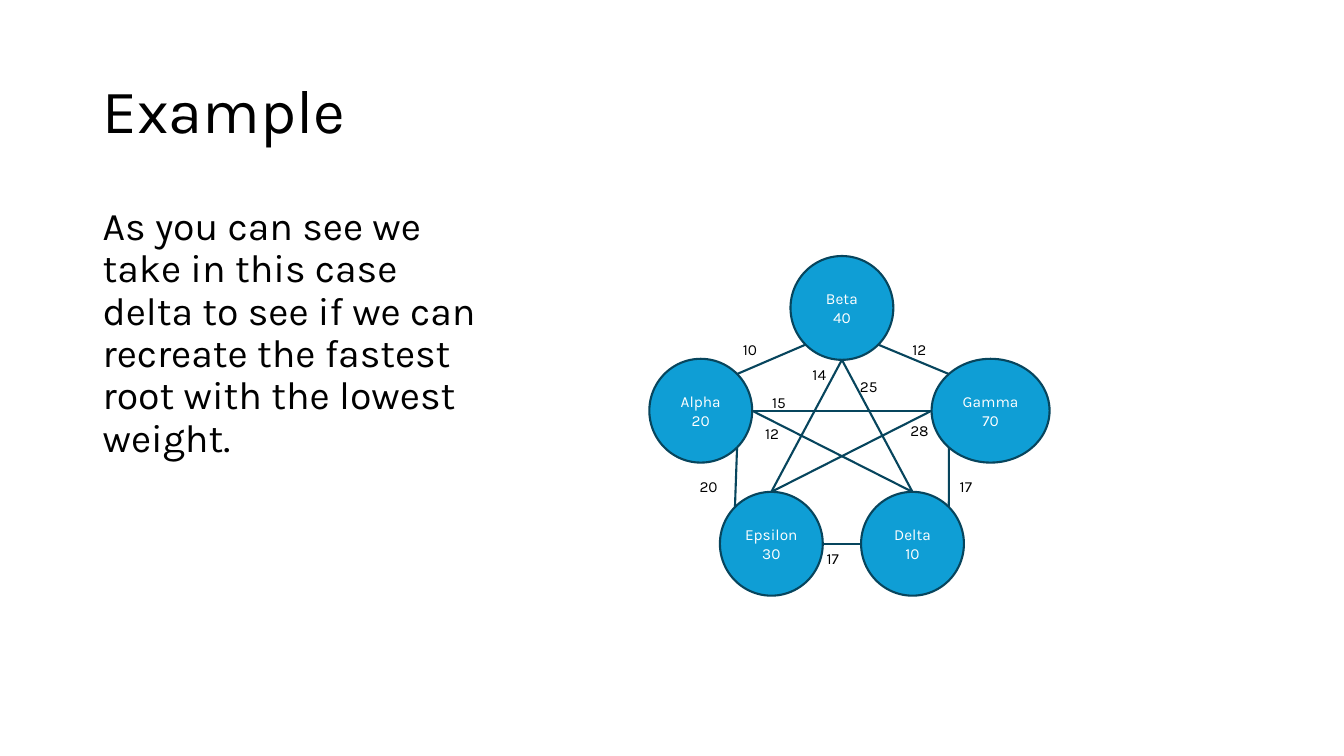
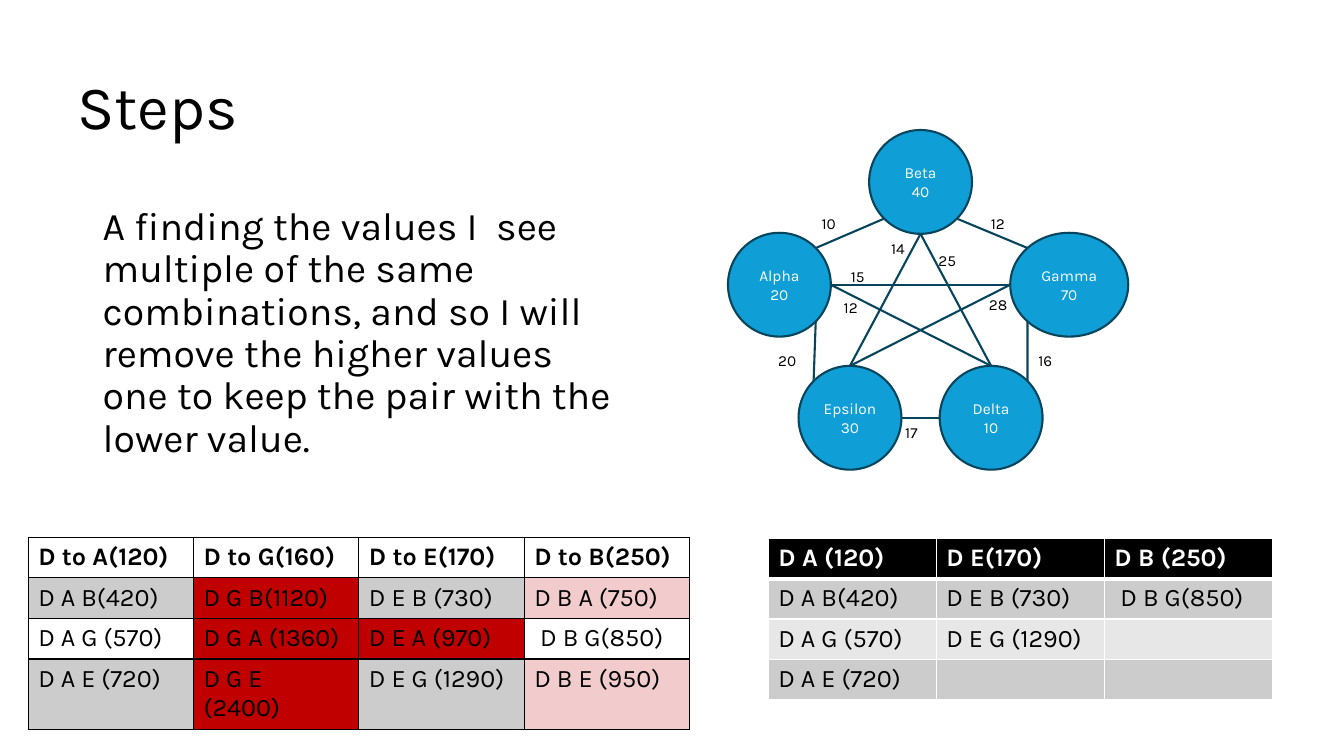
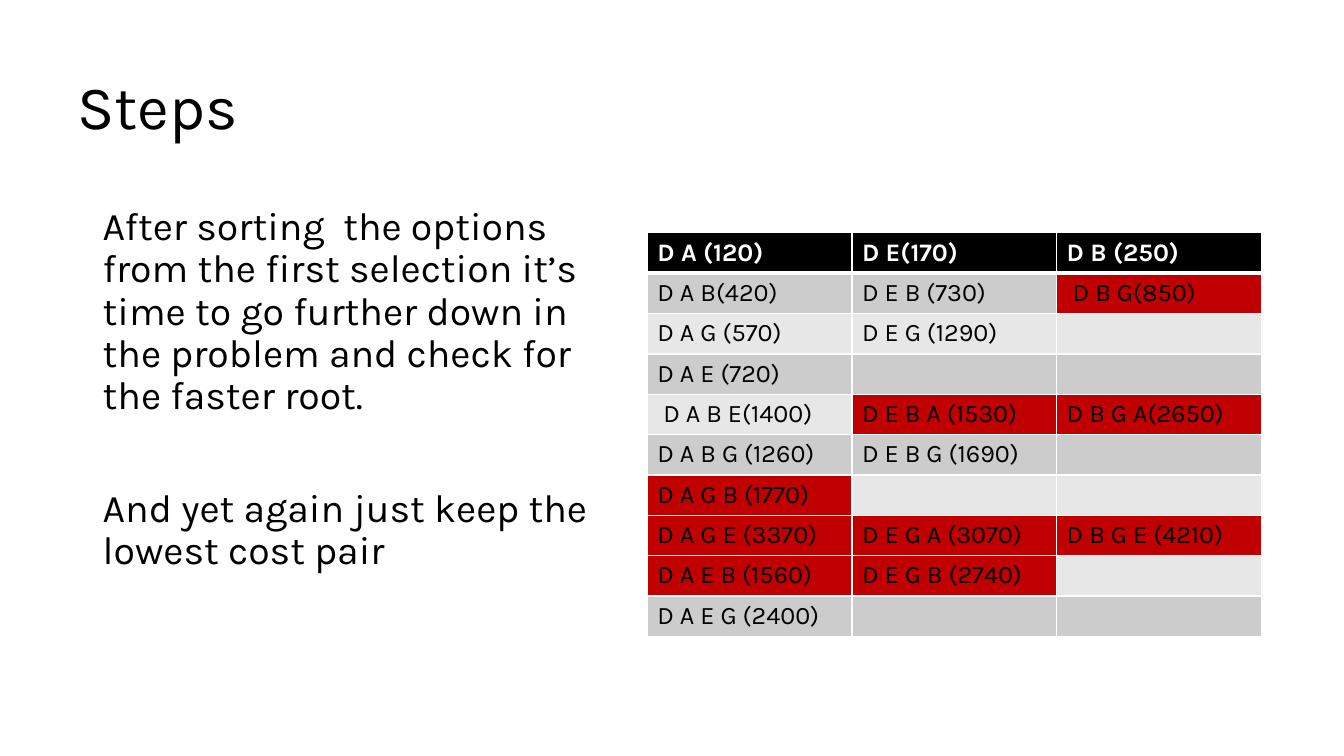
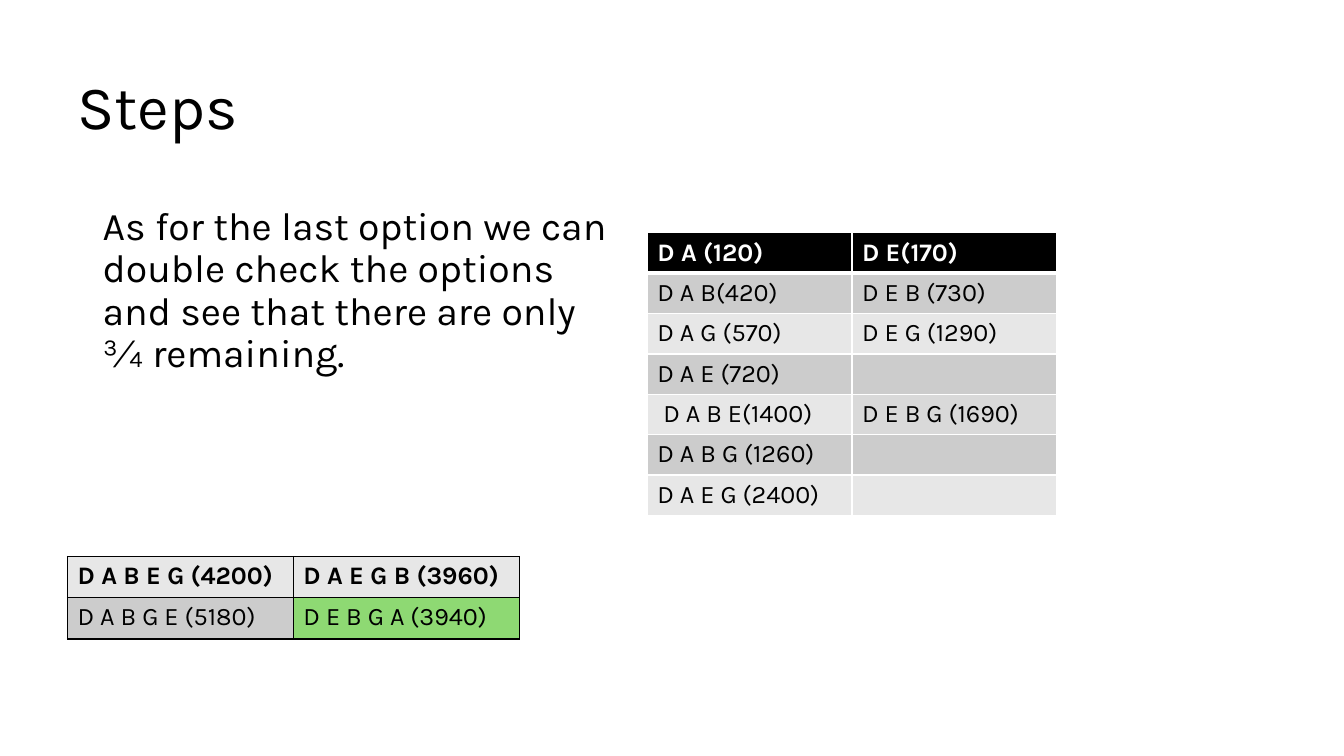
from math import cos, radians, sin

from lxml import etree
from pptx import Presentation
from pptx.dml.color import RGBColor
from pptx.enum.shapes import MSO_CONNECTOR, MSO_SHAPE
from pptx.enum.text import MSO_ANCHOR, PP_ALIGN
from pptx.oxml.ns import qn
from pptx.util import Inches, Pt

FONT = "Karla"
COLORS = {
    "ink": "000000", "white": "FFFFFF", "node": "0F9ED5", "edge": "07455D",
    "dark": "CCCCCC", "light": "E7E7E7", "gray": "D9D9D9",
    "red": "C00000", "pink": "F2CCCC", "green": "8ED973",
}
BODY = (0.92, 2, 5.28, 4.93)
STEPS = (0.67, 0.36, 4.48, 1.45)

# name: left, top, width, value
NODES = {
    "Epsilon": (0.7, 2.34, 1.02, 30),
    "Alpha": (0, 1.02, 1.02, 20),
    "Beta": (1.4, 0, 1.02, 40),
    "Delta": (2.1, 2.34, 1.02, 10),
    "Gamma": (2.8, 1.02, 1.17, 70),
}
NODE_H = 1.03
# start, its angle, end, its angle, weight, label left, label top
EDGES = [
    ("Beta", 135, "Alpha", -45, 10, 0.83, 0.78),
    ("Beta", 45, "Gamma", -135, 12, 2.51, 0.78),
    ("Gamma", 135, "Delta", -45, 17, 2.98, 2.14),
    ("Epsilon", 0, "Delta", 180, 17, 1.66, 2.86),
    ("Alpha", 45, "Epsilon", -135, 20, 0.4, 2.14),
    ("Beta", 90, "Epsilon", -90, 14, 1.52, 1.03),
    ("Alpha", 0, "Delta", -90, 12, 1.05, 1.62),
    ("Beta", 90, "Delta", -90, 25, 1.99, 1.15),
    ("Gamma", 180, "Epsilon", -90, 28, 2.49, 1.59),
    ("Alpha", 0, "Gamma", 180, 15, 1.12, 1.31),
]


def color(name):
    return RGBColor.from_string(COLORS[name])


def style(para, size, ink="ink", bold=False):
    font = para.font
    font.name, font.size, font.bold = FONT, Pt(size), bold
    font.color.rgb = color(ink)


def add_text(slide, box, lines, size):
    shape = slide.shapes.add_textbox(*map(Inches, box))
    frame = shape.text_frame
    frame.word_wrap = True
    frame.text = "\n".join(lines)
    for para in frame.paragraphs:
        style(para, size)
    return frame


def add_title(slide, box, text):
    frame = add_text(slide, box, [text], 44)
    frame.vertical_anchor = MSO_ANCHOR.MIDDLE
    frame.paragraphs[0].line_spacing = 0.9


def add_body(slide, box, *lines):
    frame = add_text(slide, box, lines, 28)
    for i, para in enumerate(frame.paragraphs):
        para.line_spacing = 0.9
        para.space_before = Pt(50 if i else 10)


def add_node(slide, left, top, name):
    dx, dy, width, value = NODES[name]
    shape = slide.shapes.add_shape(
        MSO_SHAPE.OVAL, Inches(left + dx), Inches(top + dy),
        Inches(width), Inches(NODE_H))
    shape.shadow.inherit = False
    shape.fill.solid()
    shape.fill.fore_color.rgb = color("node")
    shape.line.color.rgb = color("edge")
    shape.line.width = Pt(1.5)
    frame = shape.text_frame
    frame.vertical_anchor = MSO_ANCHOR.MIDDLE
    frame.text = f"{name}\n{value}"
    for para in frame.paragraphs:
        para.alignment = PP_ALIGN.CENTER
        style(para, 11, "white")


def rim(left, top, name, angle):
    """Point on a node's outline; angles run clockwise from the right."""
    dx, dy, width, _ = NODES[name]
    turn = radians(angle)
    return (Inches(left + dx + width / 2 * (1 + cos(turn))),
            Inches(top + dy + NODE_H / 2 * (1 + sin(turn))))


def add_edge(slide, start, end):
    line = slide.shapes.add_connector(MSO_CONNECTOR.STRAIGHT, *start, *end)
    line.line.color.rgb = color("edge")
    line.line.width = Pt(1.5)
    etree.SubElement(line._element.spPr, qn("a:effectLst"))


def add_graph(slide, left, top, changed=None):
    """Draw the network; changed maps (start, end) to another weight."""
    for name in NODES:
        add_node(slide, left, top, name)
    for start, out, end, into, *_ in EDGES:
        add_edge(slide, rim(left, top, start, out), rim(left, top, end, into))
    for start, _, end, _, weight, dx, dy in EDGES:
        weight = (changed or {}).get((start, end), weight)
        add_text(slide, (left + dx, top + dy, 0.44, 0.29), [str(weight)], 11)


def set_border(cell, side, name, width):
    props = cell._tc.get_or_add_tcPr()
    line = etree.SubElement(props, qn(f"a:ln{side}"), w=str(Pt(width)))
    fill = etree.SubElement(line, qn("a:solidFill"))
    etree.SubElement(fill, qn("a:srgbClr"), val=COLORS[name])


def add_grid(slide, box, rows, head="ink", line="white", even="light",
             marks=None):
    """Banded table; marks maps a fill to the (row, column) cells it takes."""
    left, top, width, height = box
    count = len(rows[0])
    table = slide.shapes.add_table(
        len(rows), count, *map(Inches, box)).table
    for col in table.columns:
        col.width = Inches(width / count)
    for row in table.rows:
        row.height = Inches(height / len(rows))
    special = {spot: name for name, spots in (marks or {}).items()
               for spot in spots}
    thick = 3 if line == "white" else 1
    for r, row in enumerate(rows):
        band = head if r == 0 else "dark" if r % 2 else even
        for c, text in enumerate(row):
            cell = table.cell(r, c)
            for side in "LRTB":
                under = (r, side) in ((0, "B"), (1, "T"))
                set_border(cell, side, line, thick if under else 1)
            cell.fill.solid()
            cell.fill.fore_color.rgb = color(special.get((r, c), band))
            cell.text = text
            ink = "white" if r == 0 and head == "ink" else "ink"
            style(cell.text_frame.paragraphs[0], 18, ink, r == 0)


def example(slide):
    add_title(slide, (0.92, 0.4, 11.5, 1.45), "Example")
    add_body(slide, (0.92, 2, 4.06, 4.76),
             "As you can see we take in this case delta to see if we can "
             "recreate the fastest root with the lowest weight.")
    add_graph(slide, 6.44, 2.54)


def pairs(slide):
    add_title(slide, STEPS, "Steps")
    add_body(slide, (0.92, 2, 5.28, 2.77),
             "A finding the values I  see multiple of the same combinations, "
             "and so I will remove the higher values one to keep the pair "
             "with the lower value.")
    add_grid(slide, (0.28, 5.33, 6.56, 1.61), [
        ["D to A(120)", "D to G(160)", "D to E(170)", "D to B(250)"],
        ["D A B(420)", "D G B(1120)", "D E B (730)", "D B A (750)"],
        ["D A G (570)", "D G A (1360)", "D E A (970)", " D B G(850)"],
        ["D A E (720)", "D G E  (2400)", "D E G (1290)", "D B E (950)"],
    ], head="white", line="ink", even="white", marks={
        "red": [(1, 1), (2, 1), (3, 1), (2, 2)], "pink": [(1, 3), (3, 3)]})
    add_graph(slide, 7.22, 1.29, {("Gamma", "Delta"): 16})
    add_grid(slide, (7.62, 5.34, 5, 1.6), [
        ["D A (120)", "D E(170)", "D B (250)"],
        ["D A B(420)", "D E B (730)", " D B G(850)"],
        ["D A G (570)", "D E G (1290)", ""],
        ["D A E (720)", "", ""],
    ])


def sorting(slide):
    add_title(slide, STEPS, "Steps")
    add_body(slide, BODY,
             "After sorting  the options from the first selection it’s time "
             "to go further down in the problem and check for the faster "
             "root.",
             "And yet again just keep the lowest cost pair")
    add_grid(slide, (6.42, 2.31, 6.09, 4), [
        ["D A (120)", "D E(170)", "D B (250)"],
        ["D A B(420)", "D E B (730)", " D B G(850)"],
        ["D A G (570)", "D E G (1290)", ""],
        ["D A E (720)", "", ""],
        [" D A B E(1400)", "D E B A (1530)", "D B G A(2650)"],
        ["D A B G (1260)", "D E B G (1690)", ""],
        ["D A G B (1770)", "", ""],
        ["D A G E (3370)", "D E G A (3070)", "D B G E (4210)"],
        ["D A E B (1560)", "D E G B (2740)", ""],
        ["D A E G (2400)", "", ""],
    ], marks={"red": [(1, 2), (4, 1), (4, 2), (6, 0), (7, 0), (7, 1), (7, 2),
                      (8, 0), (8, 1)]})


def result(slide):
    add_title(slide, STEPS, "Steps")
    add_body(slide, BODY,
             "As for the last option we can double check the options and see "
             "that there are only ¾ remaining.")
    add_grid(slide, (6.42, 2.31, 4.06, 2.8), [
        ["D A (120)", "D E(170)"],
        ["D A B(420)", "D E B (730)"],
        ["D A G (570)", "D E G (1290)"],
        ["D A E (720)", ""],
        [" D A B E(1400)", "D E B G (1690)"],
        ["D A B G (1260)", ""],
        ["D A E G (2400)", ""],
    ], marks={"gray": [(4, 1)]})
    add_grid(slide, (0.67, 5.52, 4.48, 0.82), [
        ["D A B E G (4200)", "D A E G B (3960)"],
        ["D A B G E (5180)", "D E B G A (3940)"],
    ], head="light", line="ink", marks={"green": [(1, 1)]})


def main():
    deck = Presentation()
    deck.slide_width, deck.slide_height = Inches(13.33), Inches(7.5)
    for build in (example, pairs, sorting, result):
        build(deck.slides.add_slide(deck.slide_layouts[6]))
    deck.save("out.pptx")


if __name__ == "__main__":
    main()
